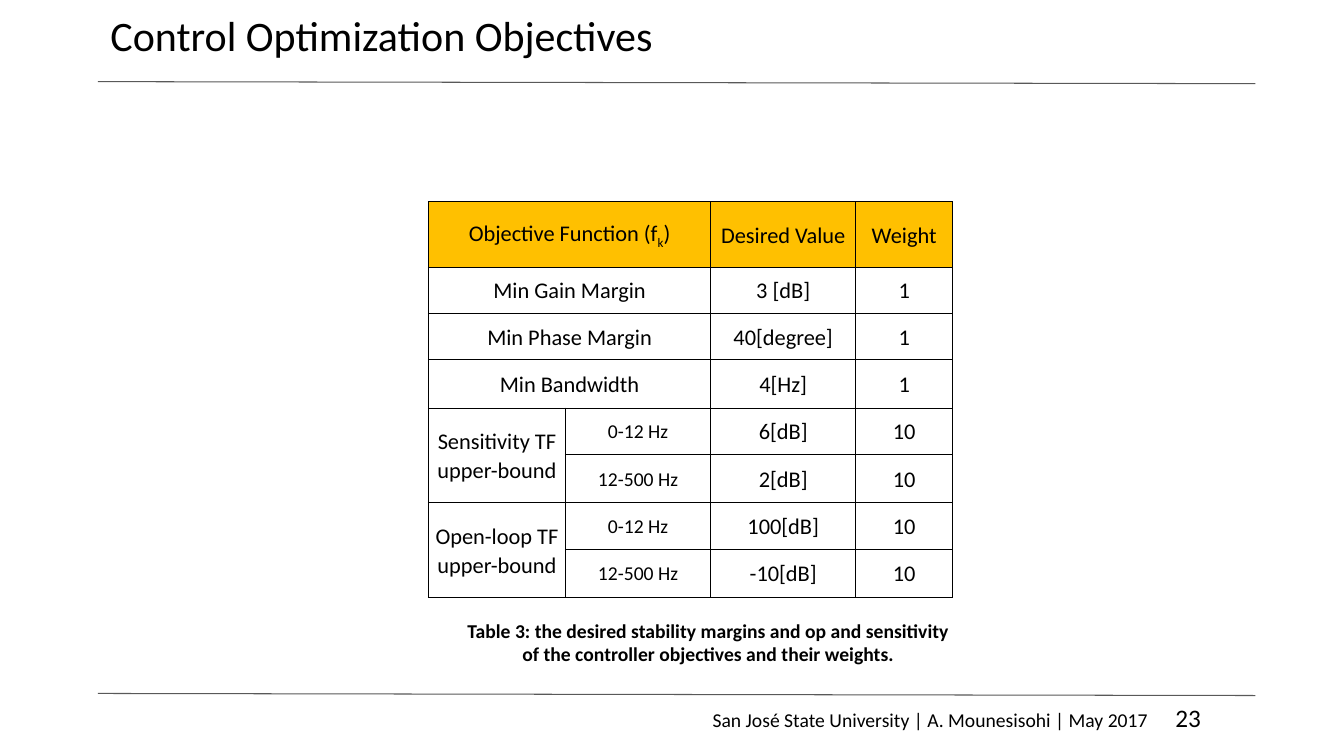
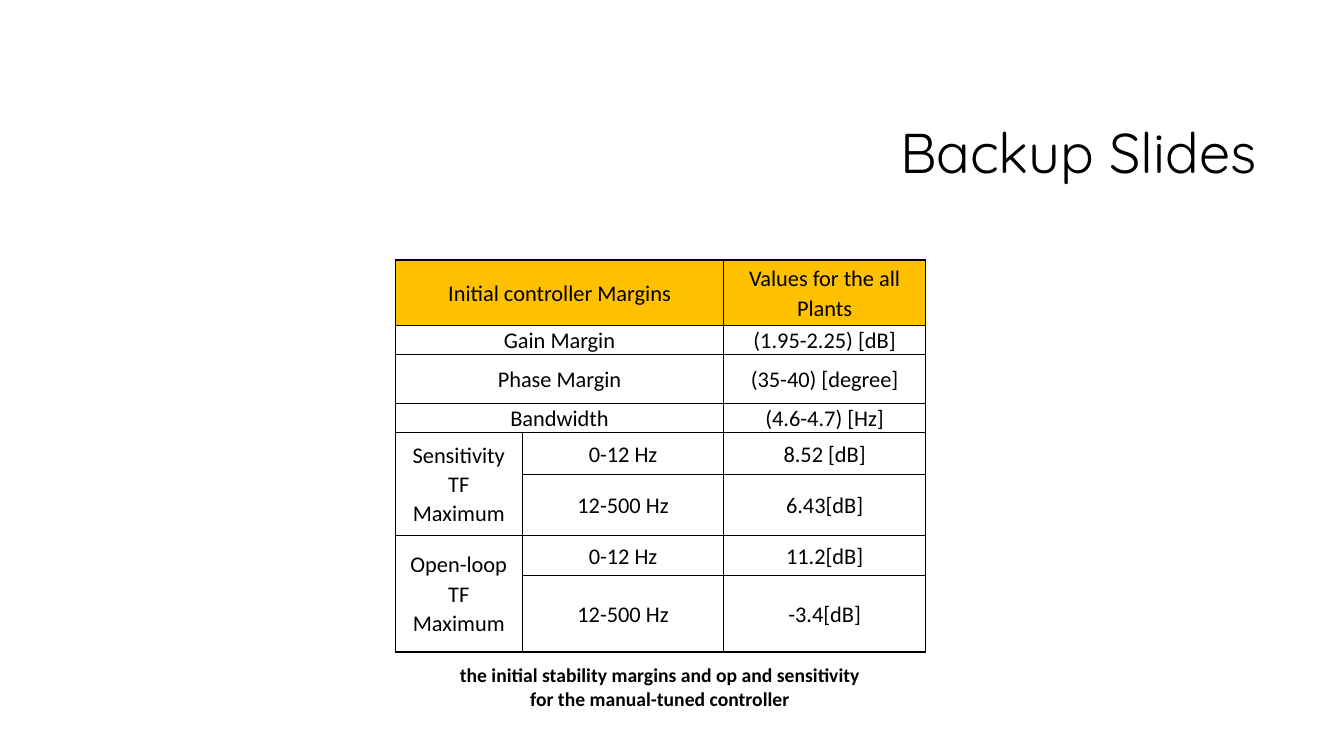
from lxml import etree
from pptx import Presentation
from pptx import util as u
from pptx.dml.color import RGBColor
from pptx.enum import shapes, text
from pptx.oxml import ns

BLACK = RGBColor(0x00, 0x00, 0x00)
GREY = RGBColor(0x59, 0x59, 0x59)
GOLD = RGBColor(0xFF, 0xC0, 0x00)

BODY = "Calibri"
HEAD = "Quicksand"
LEFT = text.PP_ALIGN.LEFT
MID = text.PP_ALIGN.CENTER
RIGHT = text.PP_ALIGN.RIGHT
EDGES = ("a:lnL", "a:lnR", "a:lnT", "a:lnB")


def put(item, vals):
    for key, val in vals.items():
        setattr(item, key, val)


def add(node, tag, **attrs):
    """Append a child element to an XML node."""
    return etree.SubElement(node, ns.qn(tag), attrs)


class Deck:
    """Style and current slide; lengths are percentages of the slide's size."""

    def __init__(self):
        self.prs = Presentation()
        put(self.prs, {"slide_width": u.Inches(13.33), "slide_height": u.Inches(7.5)})
        self.page = None

    def x(self, share):
        return int(self.prs.slide_width * share / 100)

    def y(self, share):
        return int(self.prs.slide_height * share / 100)

    def slide(self):
        self.page = self.prs.slides.add_slide(self.prs.slide_layouts[6])

    def label(self, para, words, size, font=BODY, bold=False):
        """Add a run; an underscore makes the next letter a subscript."""
        first, *rest = words.split("_")
        parts = [(first, False)]
        for part in rest:
            parts += [(part[0], True), (part[1:], False)]
        for part, low in parts:
            run = para.add_run()
            run.text = part
            put(run.font, {"name": font, "size": u.Pt(size), "bold": bold})
            run.font.color.rgb = BLACK
            if low:
                run._r.get_or_add_rPr().set("baseline", "-25000")

    def box(self, left, top, wide, high, align=LEFT, pad=7, space=1.0):
        """Add an empty text box and return its paragraph."""
        shape = self.page.shapes.add_textbox(
            self.x(left), self.y(top), self.x(wide), self.y(high))
        put(shape.text_frame, {
            "word_wrap": True, "vertical_anchor": text.MSO_ANCHOR.MIDDLE,
            "margin_left": u.Pt(pad), "margin_right": u.Pt(pad),
            "margin_top": 0, "margin_bottom": 0})
        para = shape.text_frame.paragraphs[0]
        put(para, {"alignment": align, "line_spacing": space})
        return para

    def title(self, words, area, size, font=BODY, align=LEFT):
        para = self.box(*area, align=align, pad=9, space=0.9)
        self.label(para, words, size, font)

    def caption(self, words, area):
        self.label(self.box(*area, align=MID), words, 14, bold=True)

    def rule(self, top):
        """Draw the slightly sloped line that bounds the content."""
        line = self.page.shapes.add_connector(
            shapes.MSO_CONNECTOR.STRAIGHT,
            self.x(7.28), self.y(top), self.x(93.4), self.y(top + 0.27))
        line.line.color.rgb = GREY
        line.line.width = u.Pt(0.75)
        add(line._element.spPr, "a:effectLst")

    def footer(self, words, number):
        para = self.box(52.29, 92.67, 41.11, 4.53)
        tabs = add(para._p.get_or_add_pPr(), "a:tabLst")
        add(tabs, "a:tab", pos=str(self.x(34.43)), algn="l")
        self.label(para, words + "\t", 14)
        self.label(para, number, 18)

    def cell(self, cell, words, size, head):
        props = cell._tc.get_or_add_tcPr()
        for edge in EDGES:
            line = add(props, edge, w=str(int(u.Pt(1))))
            add(add(line, "a:solidFill"), "a:srgbClr", val=str(BLACK))
        if head:
            cell.fill.solid()
            cell.fill.fore_color.rgb = GOLD
        else:
            cell.fill.background()
        put(cell, {
            "vertical_anchor": text.MSO_ANCHOR.MIDDLE,
            "margin_left": u.Pt(5), "margin_right": u.Pt(5),
            "margin_top": 0, "margin_bottom": 0})
        para = cell.text_frame.paragraphs[0]
        put(para, {"alignment": MID, "line_spacing": 1.07})
        if words:
            self.label(para, words, size)

    def table(self, left, top, cols, rows, data, band=16):
        """Add a table; None joins the cell on its left, or above in column 0."""
        grid = self.page.shapes.add_table(
            len(rows), len(cols), self.x(left), self.y(top),
            self.x(sum(cols)), self.y(sum(rows))).table
        put(grid, {"first_row": False, "horz_banding": False})
        for col, wide in zip(grid.columns, cols):
            col.width = self.x(wide)
        for row, high in zip(grid.rows, rows):
            row.height = self.y(high)
        for r, line in enumerate(data):
            for c, words in enumerate(line):
                size = band if c == 1 else 16
                self.cell(grid.cell(r, c), words, size, r == 0)
        for r, line in enumerate(data):
            if line[1] is None:
                grid.cell(r, 0).merge(grid.cell(r, 1))
            if line[0] is None:
                grid.cell(r - 1, 0).merge(grid.cell(r, 0))


def goals(deck):
    deck.slide()
    deck.title("Control Optimization Objectives", (7.28, 0, 69.47, 10.13), 30)
    for top in (10.8, 91.73):
        deck.rule(top)
    deck.footer("San José State University | A. Mounesisohi | May 2017", "23")
    deck.table(
        31.88, 26.67, (10.2, 10.8, 10.8, 7.2),
        (8.67, 6.13, 6.13, 6.4, 6.13, 6.4, 6.13, 6.4), (
            ("Objective Function (f_k)", None, "Desired Value", "Weight"),
            ("Min Gain Margin", None, "3 [dB]", "1"),
            ("Min Phase Margin", None, "40[degree]", "1"),
            ("Min Bandwidth", None, "4[Hz]", "1"),
            ("Sensitivity TF upper-bound", "0-12 Hz", "6[dB]", "10"),
            (None, "12-500 Hz", "2[dB]", "10"),
            ("Open-loop TF upper-bound", "0-12 Hz", "100[dB]", "10"),
            (None, "12-500 Hz", "-10[dB]", "10")), band=14)
    deck.caption("Table 3: the desired stability margins and op and sensitivity "
                 "of the controller objectives and their weights.",
                 (33.76, 81.73, 37.88, 6.4))


def backup(deck):
    deck.slide()
    deck.title("Backup Slides", (23.78, 11.2, 70.67, 18.8), 40,
               font=HEAD, align=RIGHT)
    deck.table(
        29.41, 34.4, (9.45, 15, 15),
        (8.67, 3.6, 6.53, 3.6, 5.6, 8, 5.33, 10.13), (
            ("Initial controller Margins", None, "Values for the all Plants"),
            ("Gain Margin", None, "(1.95-2.25) [dB]"),
            ("Phase Margin", None, "(35-40) [degree]"),
            ("Bandwidth", None, "(4.6-4.7) [Hz]"),
            ("Sensitivity TF Maximum", "0-12 Hz", "8.52 [dB]"),
            (None, "12-500 Hz", "6.43[dB]"),
            ("Open-loop TF Maximum", "0-12 Hz", "11.2[dB]"),
            (None, "12-500 Hz", "-3.4[dB]")))
    deck.caption("the initial stability margins and op and sensitivity "
                 "for the manual-tuned controller", (32.86, 84.27, 32.48, 13.07))


def main():
    deck = Deck()
    goals(deck)
    backup(deck)
    deck.prs.save("out.pptx")


if __name__ == "__main__":
    main()
